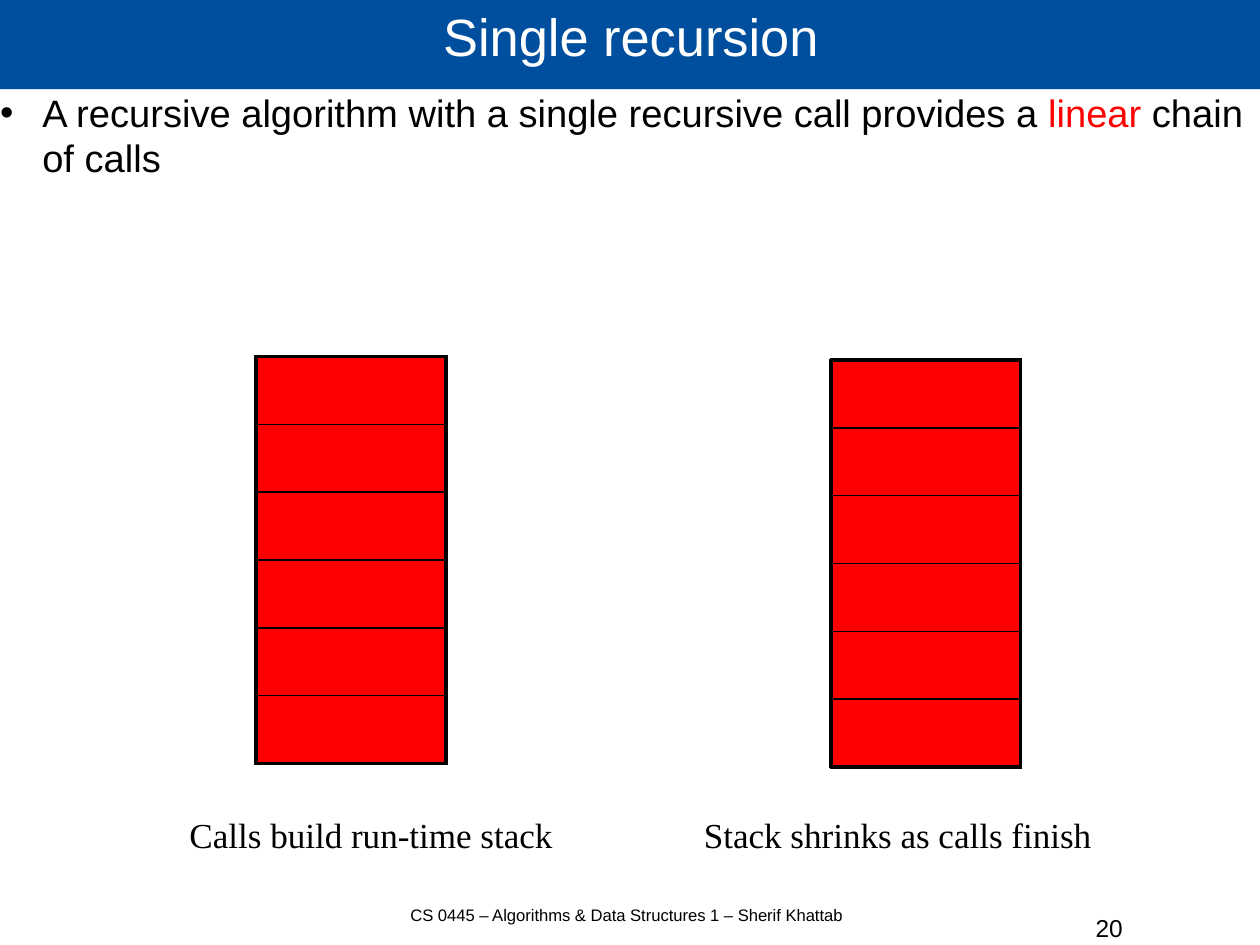
from lxml.etree import SubElement
from pptx import Presentation
from pptx.dml.color import RGBColor
from pptx.enum.shapes import MSO_CONNECTOR, MSO_SHAPE
from pptx.enum.text import MSO_ANCHOR, MSO_AUTO_SIZE, PP_ALIGN
from pptx.oxml.ns import qn
from pptx.util import Inches, Pt

BLUE = RGBColor(0x00, 0x4F, 0x9E)
RED = RGBColor(0xFF, 0x00, 0x00)
BLACK = RGBColor(0x00, 0x00, 0x00)
WHITE = RGBColor(0xFF, 0xFF, 0xFF)

CM_PER_INCH = 2.54
FRAMES = 6
FRAME_WIDTH = 1.66
STACK_HEIGHT = 3.56
FRAME_HEIGHT = STACK_HEIGHT / FRAMES
OVERHANG = 0.01


def place_text(shape, box, size, font, color, align, spacing=1.0, inset=0):
    """Position a text shape and format its first paragraph."""
    shape.left, shape.top, shape.width, shape.height = map(Inches, box)
    frame = shape.text_frame
    frame.word_wrap = True
    frame.auto_size = MSO_AUTO_SIZE.NONE
    frame.margin_left = frame.margin_right = Inches(inset)
    frame.margin_top = frame.margin_bottom = Inches(inset / 2)
    paragraph = frame.paragraphs[0]
    paragraph.alignment = align
    paragraph.line_spacing = spacing
    paragraph.space_before = Pt(0)
    paragraph.font.size = Pt(size)
    paragraph.font.name = font
    paragraph.font.color.rgb = color


def add_rule(x1, y1, x2, y2, weight):
    """Draw a plain black line."""
    rule = slide.shapes.add_connector(
        MSO_CONNECTOR.STRAIGHT, Inches(x1), Inches(y1), Inches(x2), Inches(y2))
    rule.line.color.rgb = BLACK
    rule.line.width = Pt(weight)
    SubElement(rule._element.spPr, qn("a:effectLst"))


# A 28 by 21 cm page
prs = Presentation()
prs.slide_width = Inches(28 / CM_PER_INCH)
prs.slide_height = Inches(21 / CM_PER_INCH)
slide = prs.slides.add_slide(prs.slide_layouts[1])

# Title band
title = slide.shapes.title
title.text_frame.text = "Single recursion"
title.text_frame.vertical_anchor = MSO_ANCHOR.MIDDLE
title.fill.solid()
title.fill.fore_color.rgb = BLUE
place_text(title, (0, -0.02, 11.04, 0.8), 33, "Arial", WHITE, PP_ALIGN.CENTER, 0.69)

# Bulleted statement
body = slide.placeholders[1]
statement = body.text_frame.paragraphs[0]
for words, color in (
    ("A recursive algorithm with a single recursive call provides a ", BLACK),
    ("linear", RED),
    (" chain of calls", BLACK),
):
    run = statement.add_run()
    run.text = words
    run.font.color.rgb = color
properties = statement._p.get_or_add_pPr()
properties.set("marL", str(Inches(0.37)))
properties.set("indent", str(Inches(-0.37)))
bullet_color = SubElement(properties, qn("a:buClr"))
SubElement(bullet_color, qn("a:srgbClr"), val=str(BLACK))
SubElement(properties, qn("a:buFont"), typeface="Arial")
SubElement(properties, qn("a:buChar"), char="•")
place_text(body, (0, 0.78, 11.04, 7.18), 24, "Arial", BLACK, PP_ALIGN.LEFT)
statement.space_after = Pt(10.7)

# Slide number, captions and footer
for words, box, size, font, align, spacing, inset in (
    ("20", (8.44, 7.99, 2.53, 0.55), 15.4, "Arial", PP_ALIGN.CENTER, 1.0, 0),
    ("Calls build run-time stack", (1.56, 7.07, 3.67, 0.47),
     22.1, "Times New Roman", PP_ALIGN.LEFT, 1.0, 0.1),
    ("Stack shrinks as calls finish", (6.06, 7.07, 4.04, 0.47),
     22.1, "Times New Roman", PP_ALIGN.LEFT, 1.0, 0.1),
    ("CS 0445 – Algorithms & Data Structures 1 – Sherif Khattab",
     (2.72, 7.93, 5.53, 0.55), 10.5, "Arial", PP_ALIGN.CENTER, 0.96, 0),
):
    label = slide.shapes.add_textbox(0, 0, 0, 0)
    label.text_frame.text = words
    place_text(label, box, size, font, BLACK, align, spacing, inset)

# Run-time stacks: call frames, dividers, then the heavy border
for left, top in ((2.24, 3.12), (7.27, 3.15)):
    right = left + FRAME_WIDTH
    bottom = top + STACK_HEIGHT
    for level in range(FRAMES):
        call_frame = slide.shapes.add_shape(
            MSO_SHAPE.RECTANGLE, Inches(left), Inches(top + level * FRAME_HEIGHT),
            Inches(FRAME_WIDTH), Inches(FRAME_HEIGHT))
        call_frame.shadow.inherit = False
        call_frame.fill.solid()
        call_frame.fill.fore_color.rgb = RED
        call_frame.line.fill.background()
    for level in range(1, FRAMES):
        divider = top + level * FRAME_HEIGHT
        add_rule(left - OVERHANG, divider, right + OVERHANG, divider, 1)
    for x in (left, right):
        add_rule(x, top - OVERHANG, x, bottom + OVERHANG, 2.25)
    for y in (top, bottom):
        add_rule(left - OVERHANG, y, right + OVERHANG, y, 2.25)

prs.save("out.pptx")
